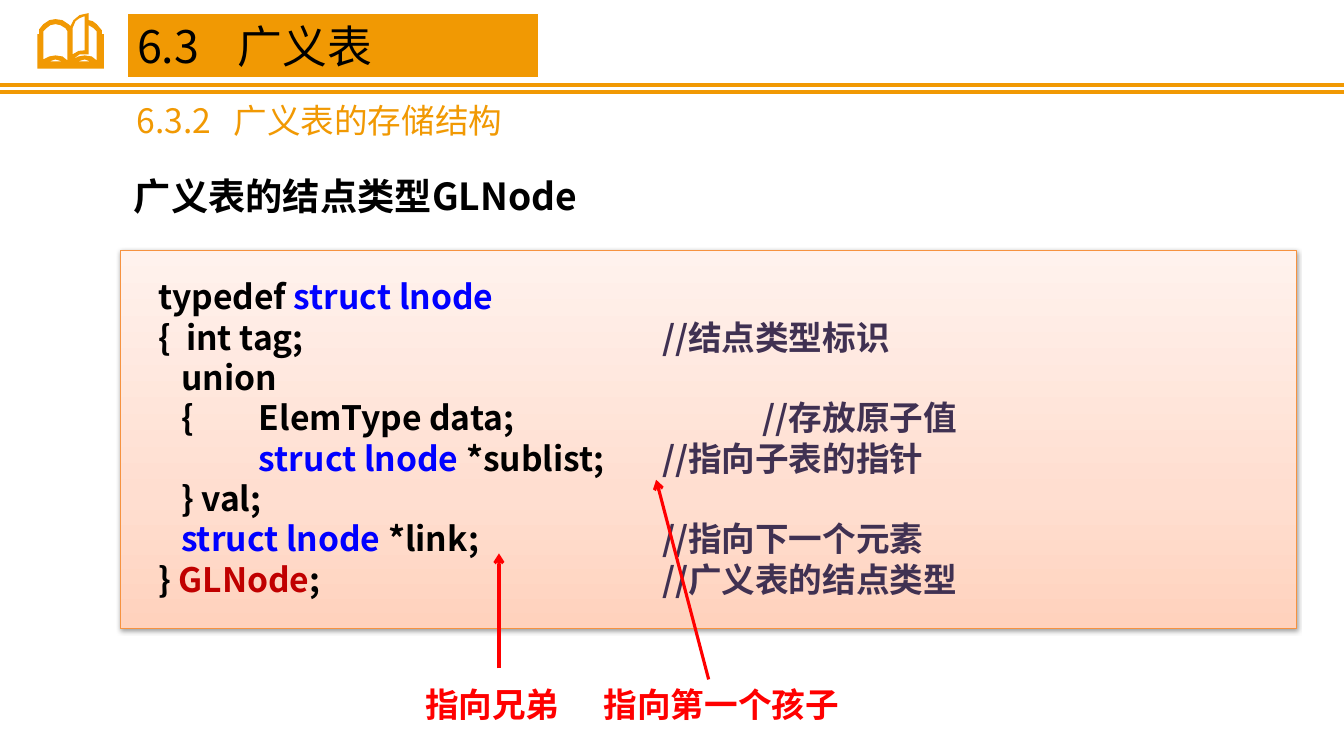
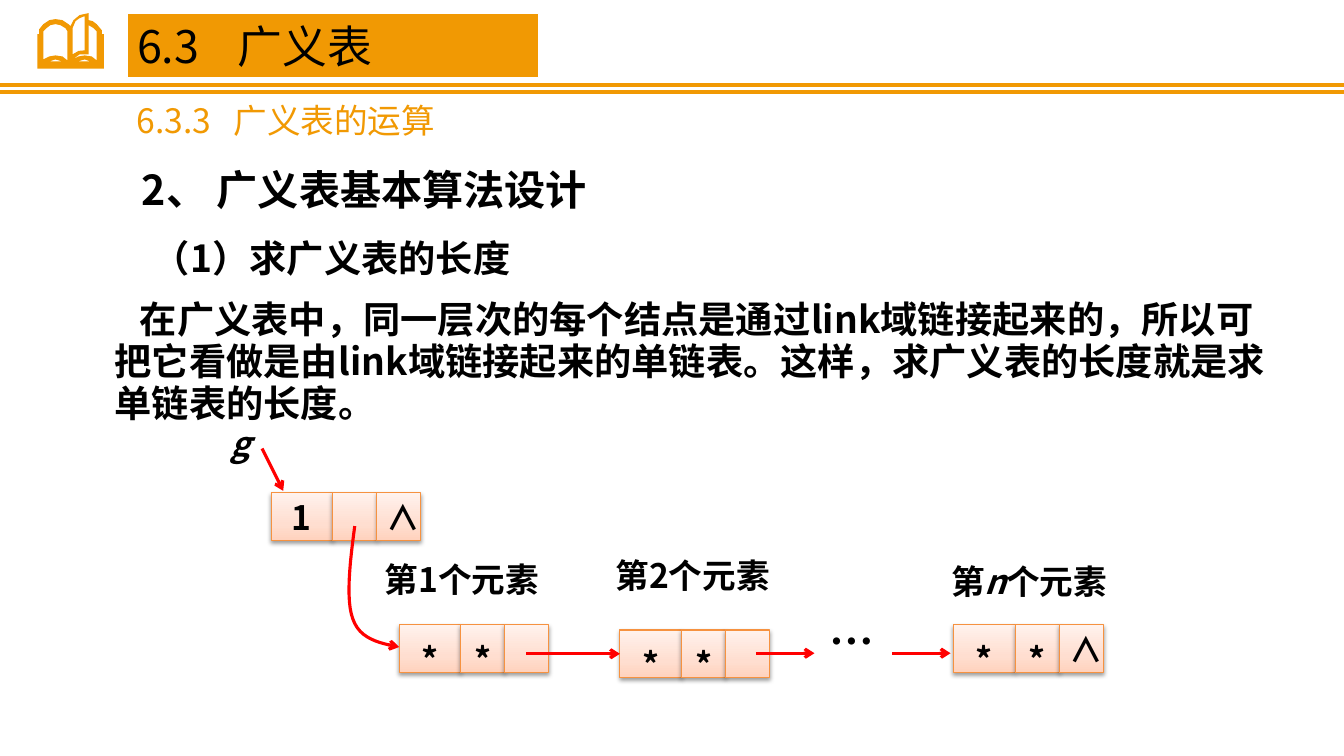
from lxml import etree
from pptx import Presentation
from pptx import util as u
from pptx.dml import color as c
from pptx.enum import shapes as es, text as et
from pptx.oxml import ns

FONT = "Noto Sans CJK SC"
COLOURS = {
    "orange": "F19903", "border": "F69240", "black": "000000", "white": "FFFFFF",
    "red": "FF0000", "keyword": "0000FF", "type": "C00000", "comment": "403152",
}
PEACH_STOPS = [(0, "FFD2BD"), (35, "FFDED0"), (100, "FFF2ED")]

# Open-book ornament: outer edge and inner gaps, in hundredths of an inch
BOOK = [
    [(101, 34), (101, 30), (96, 24), (92, 21), (88, 20), (88, 13), (79, 15), (73, 20),
     (70, 26), (68, 24), (62, 20), (55, 19), (49, 20), (43, 24), (39, 29), (39, 34),
     (37, 34), (37, 68), (103, 68), (103, 34)],
    [(49, 61), (55, 59), (62, 61)],
    [(67, 60), (62, 56), (55, 55), (49, 56), (43, 59), (43, 31), (46, 28), (50, 25),
     (55, 24), (60, 25), (65, 28), (67, 31)],
    [(84, 16), (84, 50), (78, 50.5), (72, 54), (72, 28), (75, 21), (79, 18)],
    [(77, 61), (84, 59), (90, 61)],
    [(96, 60), (91, 56), (84, 55), (78, 56), (72, 59), (79, 54), (88, 54), (88, 25),
     (93, 28), (96, 31)],
]

CELL_WIDTHS = [44, 31.5, 31.5]
CELL_HEIGHT = 34


def rgb(name):
    return c.RGBColor.from_string(COLOURS[name])


def child(parent, tag, **attributes):
    return etree.SubElement(parent, ns.qn(tag), {k: str(v) for k, v in attributes.items()})


def points(*lengths):
    return [u.Pt(length) for length in lengths]


# Text
def style(para, size, colour="black", bold=True, italic=False, centred=False,
          leading=None, tabs=(), indent=0):
    props = para._p.get_or_add_pPr()
    if indent:
        props.set("indent", str(u.Pt(indent)))
    if tabs:
        stops = child(props, "a:tabLst")
        for stop in tabs:
            child(stops, "a:tab", pos=u.Pt(stop), algn="l")
    para.alignment = et.PP_ALIGN.CENTER if centred else et.PP_ALIGN.LEFT
    para.line_spacing = u.Pt(leading or size * 1.2)
    font = para.font
    font.name, font.size, font.bold, font.italic = FONT, u.Pt(size), bold, italic
    font.color.rgb = rgb(colour)
    child(props.find(ns.qn("a:defRPr")), "a:ea", typeface=FONT)


def add_span(para, words, colour=None, italic=None):
    span = para.add_run()
    span.text = words
    if colour:
        span.font.color.rgb = rgb(colour)
    if italic:
        span.font.italic = True


def add_text(page, place, words, size, **looks):
    box = page.shapes.add_textbox(*points(*place))
    box.text_frame.word_wrap = True
    para = box.text_frame.paragraphs[0]
    style(para, size, **looks)
    for span in [words] if isinstance(words, str) else words:
        add_span(para, *([span] if isinstance(span, str) else span))


# Lines and arrows
def format_line(shape, colour, width, arrow):
    shape.line.color.rgb = rgb(colour)
    shape.line.width = u.Pt(width)
    if arrow:
        child(shape.line._get_or_add_ln(), "a:tailEnd", type="arrow")


def add_line(page, start, end, colour="red", width=2.25, arrow=True):
    line = page.shapes.add_connector(es.MSO_CONNECTOR.STRAIGHT, *points(*start, *end))
    format_line(line, colour, width, arrow)
    child(line._element.spPr, "a:effectLst")
    return line


def add_outline(page, contours, closed):
    first, *others = [[points(*point) for point in contour] for contour in contours]
    builder = page.shapes.build_freeform(*first[0], scale=1.0)
    builder.add_line_segments(first[1:], close=closed)
    for contour in others:
        builder.move_to(*contour[0])
        builder.add_line_segments(contour[1:], close=closed)
    outline = builder.convert_to_shape()
    outline.shadow.inherit = False
    return outline


def bezier(p0, p1, p2, p3, steps=12):
    curve = []
    for i in range(steps + 1):
        t = i / steps
        weights = ((1 - t) ** 3, 3 * t * (1 - t) ** 2, 3 * t * t * (1 - t), t ** 3)
        curve.append(tuple(sum(w * p[axis] for w, p in zip(weights, (p0, p1, p2, p3)))
                           for axis in (0, 1)))
    return curve


# Peach boxes with a soft shadow
def add_panel(page, place):
    panel = page.shapes.add_shape(es.MSO_SHAPE.RECTANGLE, *points(*place))
    panel.fill.gradient()
    panel.fill.gradient_angle = 90
    props = panel._element.spPr
    stops = props.find(".//" + ns.qn("a:gsLst"))
    stops.clear()
    for position, shade in PEACH_STOPS:
        child(child(stops, "a:gs", pos=position * 1000), "a:srgbClr", val=shade)
    format_line(panel, "border", 0.75, arrow=False)
    panel.shadow.inherit = False
    shadow = child(props.find(ns.qn("a:effectLst")), "a:outerShdw", blurRad=u.Pt(3.1),
                   dist=u.Pt(1.6), dir=5400000, rotWithShape=0)
    child(child(shadow, "a:srgbClr", val=COLOURS["black"]), "a:alpha", val=38000)
    return panel


def add_node(page, left, top, marks):
    cells = []
    for mark, width in zip(marks, CELL_WIDTHS):
        cell = add_panel(page, (left, top, width, CELL_HEIGHT))
        if mark:
            para = cell.text_frame.paragraphs[0]
            style(para, 24, centred=True, leading=43.2 if mark == "*" else None)
            add_span(para, mark)
        cells.append(cell)
        left += width
    return cells


# Header shared by both slides
def add_page(deck, number, topic):
    page = deck.slides.add_slide(deck.slide_layouts[5])
    for y in (60.5, 65.5):
        add_line(page, (0, y), (960, y), "orange", 3, arrow=False)
    book = add_outline(page, [[(x * 0.72, y * 0.72) for x, y in edge] for edge in BOOK], True)
    book.fill.solid()
    book.fill.fore_color.rgb = rgb("orange")
    book.line.fill.background()

    title = page.shapes.title
    title.left, title.top, title.width, title.height = points(90.7, 9.4, 293.8, 46)
    title.fill.solid()
    title.fill.fore_color.rgb = rgb("orange")
    format_line(title, "white", 0.75, arrow=False)
    frame = title.text_frame
    frame.auto_size = et.MSO_AUTO_SIZE.NONE
    frame.vertical_anchor = et.MSO_ANCHOR.TOP
    style(frame.paragraphs[0], 32, bold=False, tabs=[72])
    add_span(frame.paragraphs[0], "6.3\t广义表")

    add_text(page, (90.7, 67.7, 301.7, 36), f"{number}\t{topic}", 24,
             colour="orange", bold=False, tabs=[69])
    return page


def add_code(page, place, lines):
    frame = add_panel(page, place).text_frame
    frame.word_wrap = True
    frame.vertical_anchor = et.MSO_ANCHOR.TOP
    frame.margin_left, frame.margin_top, frame.margin_bottom = points(26.6, 18.7, 18.7)
    for i, (comment_at, spans) in enumerate(lines):
        para = frame.add_paragraph() if i else frame.paragraphs[0]
        style(para, 24, tabs=[72, comment_at])
        for span in spans:
            add_span(para, *span)


def build_storage(deck):
    page = add_page(deck, "6.3.2", "广义表的存储结构")
    add_text(page, (88.6, 120.2, 435, 39.5), "广义表的结点类型GLNode", 26.6)
    add_code(page, (86.4, 178.6, 840, 270), [
        (360, [("typedef ",), ("struct lnode", "keyword")]),
        (360, [("{  int tag;\t",), ("//结点类型标识", "comment")]),
        (360, [("   union",)]),
        (432, [("   {\tElemType data;\t",), ("//存放原子值", "comment")]),
        (360, [("\tstruct lnode ", "keyword"), ("*sublist;\t",),
               ("//指向子表的指针", "comment")]),
        (360, [("   } val;",)]),
        (360, [("   struct lnode ", "keyword"), ("*link;\t",),
               ("//指向下一个元素", "comment")]),
        (360, [("} ",), ("GLNode", "type"), (";\t",), ("//广义表的结点类型", "comment")]),
    ])
    # Pointer notes
    add_line(page, (356.4, 477.4), (356.4, 395.3))
    add_text(page, (296.6, 485.3, 127.5, 36), "指向兄弟", 24, colour="red")
    add_line(page, (506.2, 485.3), (468.7, 342.7))
    add_text(page, (424.1, 485.3, 195, 36), "指向第一个孩子", 24, colour="red")


def build_length(deck):
    page = add_page(deck, "6.3.3", "广义表的运算")
    add_text(page, (94.3, 113.8, 396.7, 42.5), "2、 广义表基本算法设计", 29.4)
    add_text(page, (102.2, 164.2, 300, 39.6), "（1）求广义表的长度", 26.6)
    add_text(page, (74.9, 210.2, 844.6, 98),
             "在广义表中，同一层次的每个结点是通过link域链接起来的，所以可把它看做是由"
             "link域链接起来的单链表。这样，求广义表的长度就是求单链表的长度。",
             26.6, leading=30, indent=18)

    # Linked list nodes
    add_node(page, 193.7, 352.1, ["1", "", "∧"])
    add_node(page, 285.1, 446.4, ["*", "*", ""])
    second = add_node(page, 442.8, 450, ["*", "*", ""])
    add_node(page, 681.1, 446.4, ["*", "*", "∧"])

    # Labels
    add_text(page, (157.7, 298.8, 44.6, 36), "g", 24, italic=True)
    for left, top, words in [(254.9, 396, "第1个元素"), (419.8, 393.1, "第2个元素"),
                             (660.2, 397.4, ["第", ("n", None, True), "个元素"])]:
        add_text(page, (left, top, 149.8, 36), words, 24, centred=True)
    add_text(page, (585.4, 434.9, 37.4, 46), "…", 32)

    # Links
    add_line(page, (187.2, 320.4), (202.3, 350.6))
    add_line(page, (375.8, 467), (442.8, 467)).end_connect(second[0], 1)
    for start, end in [(540, 581.8), (637.2, 679)]:
        add_line(page, (start, 466.6), (end, 466.6))
    down = bezier((253.4, 375.8), (249.8, 402.5), (247, 428.4), (252, 442.1))
    across = bezier((252, 442.1), (257, 456.5), (270.7, 459.4), (285.1, 462.2))
    child_link = add_outline(page, [down + across[1:]], False)
    child_link.fill.background()
    format_line(child_link, "red", 2.25, arrow=True)


def main():
    deck = Presentation()
    deck.slide_width, deck.slide_height = points(960, 540)
    build_storage(deck)
    build_length(deck)
    deck.save("out.pptx")


if __name__ == "__main__":
    main()
